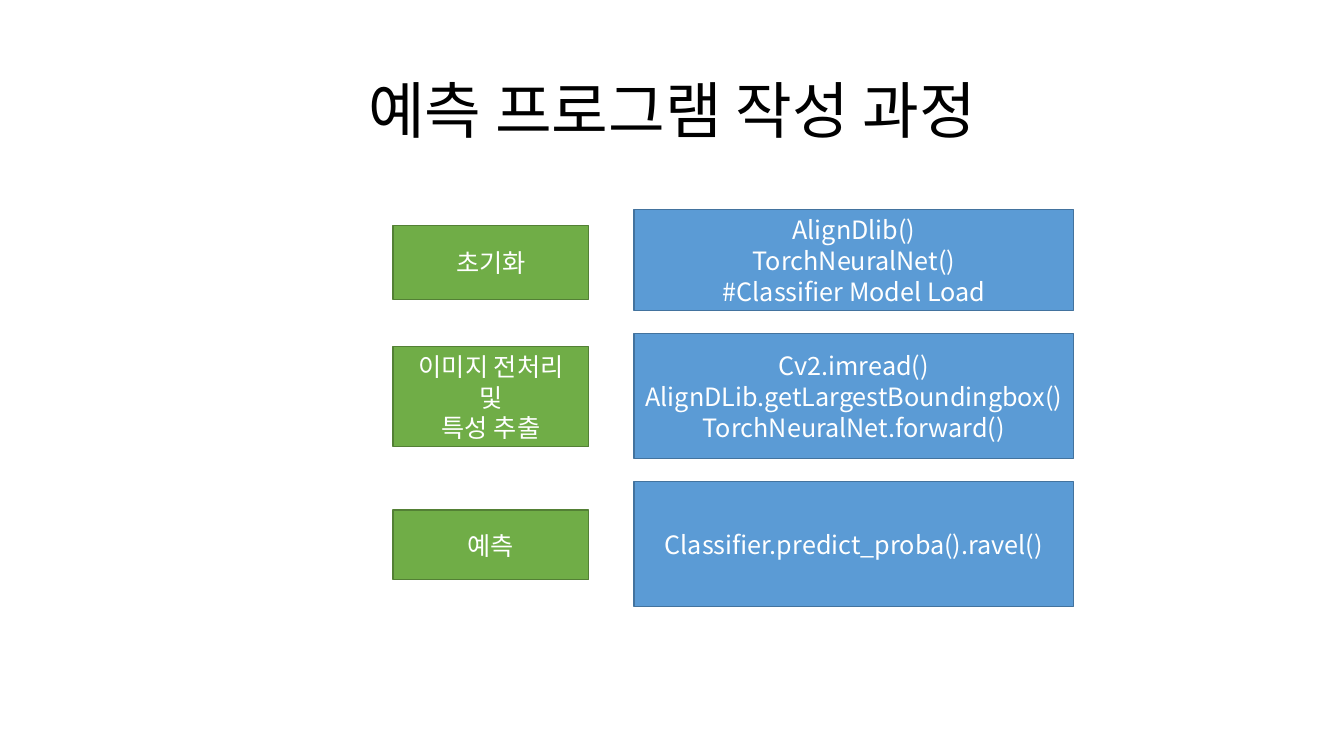
import pptx
import pptx.util
import pptx.dml.color
import pptx.enum.shapes
import pptx.enum.text
import pptx.oxml.ns
from lxml import etree

TITLE = "예측 프로그램 작성 과정"
# Step lines, step top, step height, call lines, call box height
ROWS = [
    (["초기화"], 224, 73,
     ["AlignDlib()", "TorchNeuralNet()", "#Classifier Model Load"], 100),
    (["이미지 전처리 및", "특성 추출"], 344, 99,
     ["Cv2.imread()", "AlignDLib.getLargestBoundingbox()",
      "TorchNeuralNet.forward()"], 124),
    (["예측"], 506, 69, ["Classifier.predict_proba().ravel()"], 124),
]
COLORS = {
    "title": "000000", "text": "FFFFFF",
    "step": "70AD47", "step_line": "538035",
    "call": "5B9BD5", "call_line": "43739E",
}
FONT = "Noto Sans CJK KR"
STEP_X, STEP_W = 390, 194
CALL_X, CALL_W = 629, 436
CALL_TOP, GAP = 208, 23


def px(n):
    return pptx.util.Emu(n * 9144)


def rgb(name):
    return pptx.dml.color.RGBColor.from_string(COLORS[name])


def write(tf, lines, size=18, color="text", spacing=pptx.util.Pt(22), inset=10):
    tf.word_wrap = True
    tf.vertical_anchor = pptx.enum.text.MSO_ANCHOR.MIDDLE
    tf.margin_left = tf.margin_right = px(inset)
    for i, line in enumerate(lines):
        p = tf.paragraphs[0] if i == 0 else tf.add_paragraph()
        p.alignment = pptx.enum.text.PP_ALIGN.CENTER
        p.line_spacing = spacing
        r = p.add_run()
        r.text = line
        r.font.size = pptx.util.Pt(size)
        r.font.name = FONT
        r.font.color.rgb = rgb(color)
        # Korean glyphs take the East Asian typeface
        ea = etree.SubElement(r.font._element, pptx.oxml.ns.qn("a:ea"))
        ea.set("typeface", FONT)


def add_box(slide, kind, x, y, w, h, lines, **fmt):
    sp = slide.shapes.add_shape(
        pptx.enum.shapes.MSO_SHAPE.RECTANGLE, px(x), px(y), px(w), px(h))
    sp.shadow.inherit = False
    sp.fill.solid()
    sp.fill.fore_color.rgb = rgb(kind)
    sp.line.color.rgb = rgb(kind + "_line")
    sp.line.width = pptx.util.Pt(1)
    write(sp.text_frame, lines, **fmt)


def main():
    prs = pptx.Presentation()
    prs.slide_width, prs.slide_height = px(1333), px(750)
    slide = prs.slides.add_slide(prs.slide_layouts[5])

    # Title
    title = slide.shapes.title
    title.left, title.top, title.width, title.height = map(px, (92, 40, 1150, 145))
    write(title.text_frame, [TITLE], size=44, color="title", spacing=0.9)

    # Steps on the left, their calls stacked on the right
    top = CALL_TOP
    for step, step_top, step_h, calls, call_h in ROWS:
        add_box(slide, "step", STEP_X, step_top, STEP_W, step_h, step, inset=12)
        add_box(slide, "call", CALL_X, top, CALL_W, call_h, calls)
        top += call_h + GAP

    prs.save("out.pptx")


if __name__ == "__main__":
    main()
